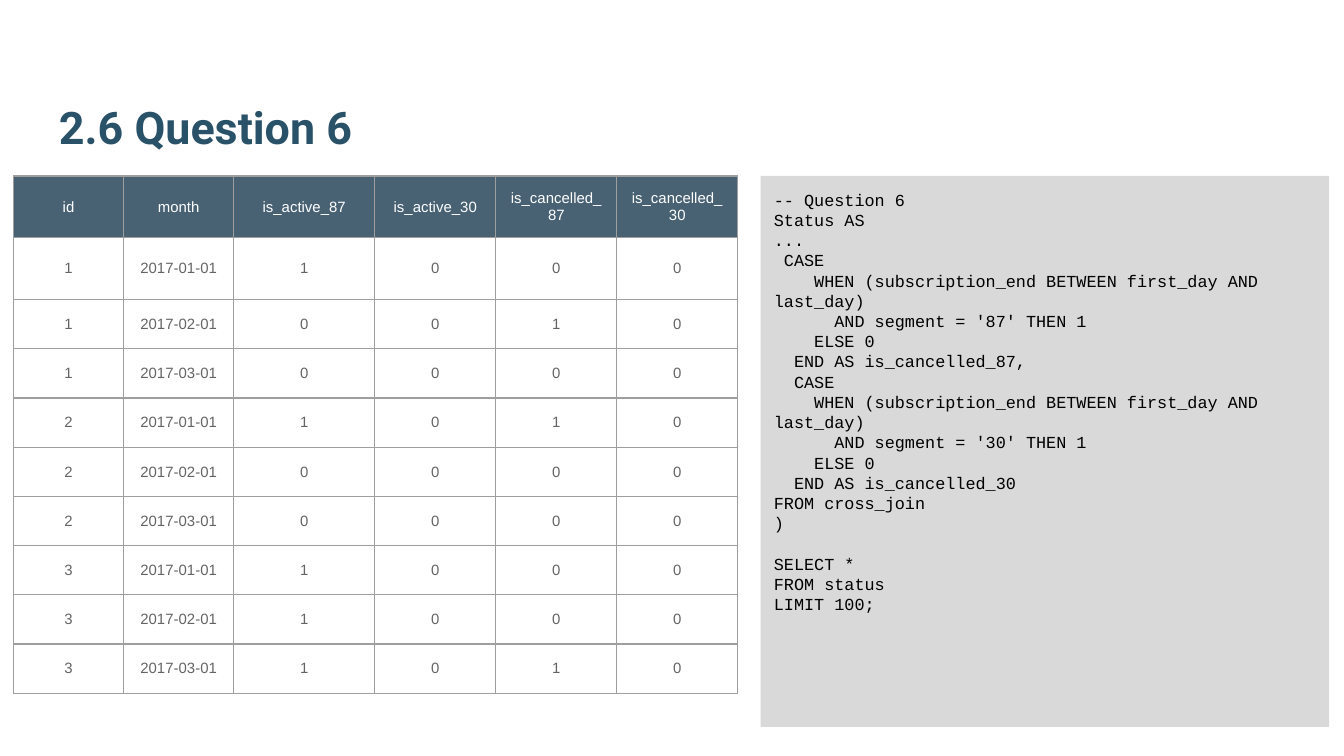
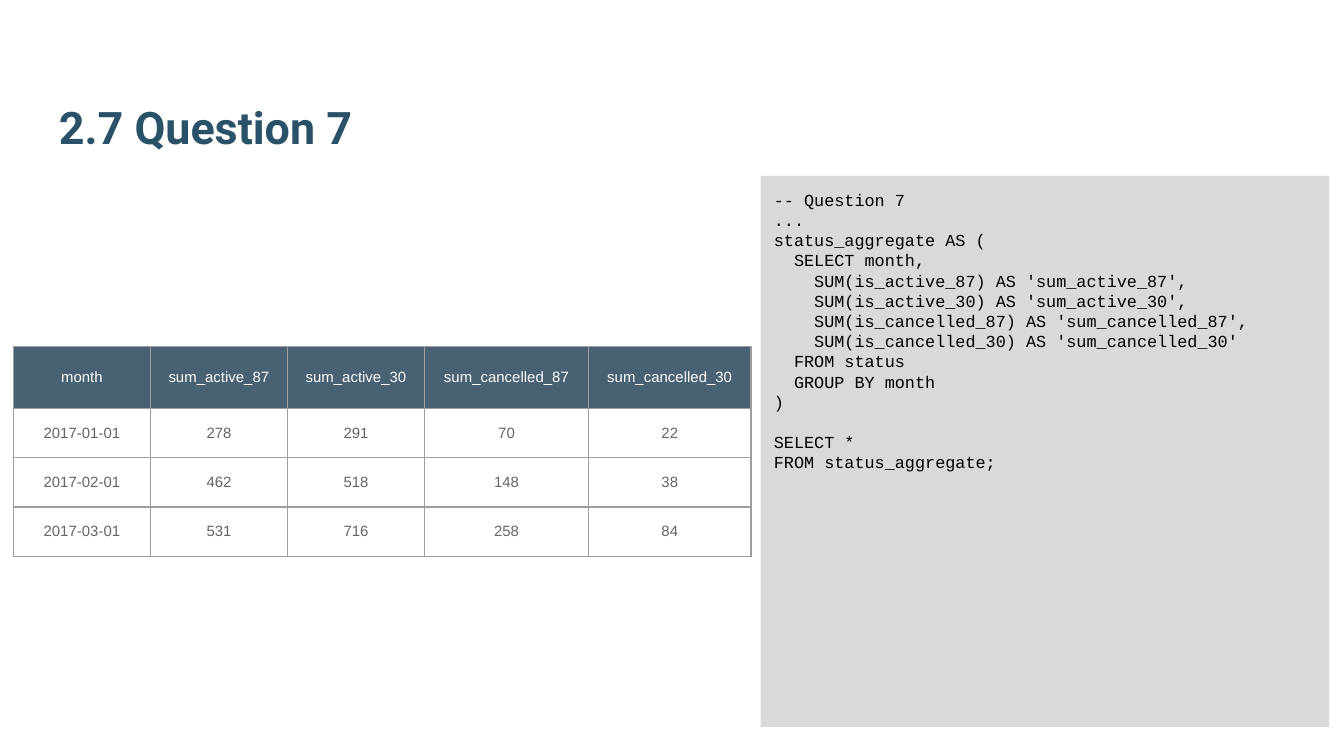
import lxml.etree
import pptx
import pptx.dml.color
import pptx.enum.shapes
import pptx.enum.text
import pptx.oxml.ns
import pptx.util

Inches = pptx.util.Inches
Pt = pptx.util.Pt
RGBColor = pptx.dml.color.RGBColor
qn = pptx.oxml.ns.qn

TITLE_BLUE = RGBColor(0x29, 0x52, 0x69)
HEADER_BLUE = RGBColor(0x20, 0x40, 0x56)
HEADER_OPACITY = 82
CODE_GREY = RGBColor(0xD9, 0xD9, 0xD9)
BORDER_GREY = RGBColor(0x9E, 0x9E, 0x9E)
TEXT_GREY = RGBColor(0x64, 0x64, 0x66)
BLACK = RGBColor(0, 0, 0)
WHITE = RGBColor(0xFF, 0xFF, 0xFF)

SLIDE_WIDTH = 10
SLIDE_HEIGHT = SLIDE_WIDTH * 9 / 16
CONTENT_TOP = 1.31
TABLE_LEFT = 0.1
TALL_ROW = 0.46
CODE_LINE = Pt(10.8)

STATUS_CODE = """-- Question 6
Status AS
...
 CASE
    WHEN (subscription_end BETWEEN first_day AND last_day)
      AND segment = '87' THEN 1
    ELSE 0
  END AS is_cancelled_87,
  CASE
    WHEN (subscription_end BETWEEN first_day AND last_day)
      AND segment = '30' THEN 1
    ELSE 0
  END AS is_cancelled_30
FROM cross_join
)

SELECT *
FROM status
LIMIT 100;"""

STATUS_ROWS = [
    ("id", "month", "is_active_87", "is_active_30", "is_cancelled_87", "is_cancelled_30"),
    (1, "2017-01-01", 1, 0, 0, 0),
    (1, "2017-02-01", 0, 0, 1, 0),
    (1, "2017-03-01", 0, 0, 0, 0),
    (2, "2017-01-01", 1, 0, 1, 0),
    (2, "2017-02-01", 0, 0, 0, 0),
    (2, "2017-03-01", 0, 0, 0, 0),
    (3, "2017-01-01", 1, 0, 0, 0),
    (3, "2017-02-01", 1, 0, 0, 0),
    (3, "2017-03-01", 1, 0, 1, 0),
]

AGGREGATE_CODE = """-- Question 7
...
status_aggregate AS (
  SELECT month,
    SUM(is_active_87) AS 'sum_active_87',
    SUM(is_active_30) AS 'sum_active_30',
    SUM(is_cancelled_87) AS 'sum_cancelled_87',
    SUM(is_cancelled_30) AS 'sum_cancelled_30'
  FROM status
  GROUP BY month
)

SELECT *
FROM status_aggregate;"""

AGGREGATE_ROWS = [
    ("month", "sum_active_87", "sum_active_30", "sum_cancelled_87", "sum_cancelled_30"),
    ("2017-01-01", 278, 291, 70, 22),
    ("2017-02-01", 462, 518, 148, 38),
    ("2017-03-01", 531, 716, 258, 84),
]


def format_runs(paragraph, font_name, size, color, bold=False):
    for run in paragraph.runs:
        run.font.name = font_name
        run.font.size = Pt(size)
        run.font.bold = bold
        run.font.color.rgb = color


def set_insets(text_frame):
    text_frame.word_wrap = True
    text_frame.margin_left = text_frame.margin_right = Inches(0.1)
    text_frame.margin_top = text_frame.margin_bottom = Inches(0.1)


def add_title(slide, text):
    box = slide.shapes.add_textbox(Inches(0.34), Inches(0.32), Inches(9.32), Inches(0.92))
    text_frame = box.text_frame
    set_insets(text_frame)
    text_frame.vertical_anchor = pptx.enum.text.MSO_ANCHOR.BOTTOM
    text_frame.text = text
    format_runs(text_frame.paragraphs[0], "Roboto", 24, TITLE_BLUE, bold=True)


def add_code_panel(slide, code):
    """Add the grey code panel; an empty code line becomes space before the next."""
    panel = slide.shapes.add_shape(
        pptx.enum.shapes.MSO_SHAPE.RECTANGLE,
        Inches(5.66), Inches(CONTENT_TOP), Inches(4.23), Inches(4.1))
    panel.shadow.inherit = False
    panel.fill.solid()
    panel.fill.fore_color.rgb = CODE_GREY
    panel.line.fill.background()
    text_frame = panel.text_frame
    set_insets(text_frame)
    text_frame.vertical_anchor = pptx.enum.text.MSO_ANCHOR.TOP
    blocks = [block.split("\n") for block in code.split("\n\n")]
    text_frame.text = "\n".join(line for block in blocks for line in block)
    for paragraph in text_frame.paragraphs:
        paragraph.alignment = pptx.enum.text.PP_ALIGN.LEFT
        format_runs(paragraph, "Courier New", 9, BLACK)
    start = 0
    for block in blocks[:-1]:
        start += len(block)
        text_frame.paragraphs[start].space_before = CODE_LINE


def set_borders(cell):
    properties = cell._tc.get_or_add_tcPr()
    for position, side in enumerate(("lnL", "lnR", "lnT", "lnB")):
        line = lxml.etree.Element(qn(f"a:{side}"), w=str(Pt(0.75)))
        fill = lxml.etree.SubElement(line, qn("a:solidFill"))
        lxml.etree.SubElement(fill, qn("a:srgbClr"), val=str(BORDER_GREY))
        properties.insert(position, line)


def fill_header(cell):
    cell.fill.solid()
    cell.fill.fore_color.rgb = HEADER_BLUE
    color = cell._tc.tcPr.find(f".//{qn('a:srgbClr')}")
    lxml.etree.SubElement(color, qn("a:alpha"), val=str(HEADER_OPACITY * 1000))


def add_result_table(slide, rows, top, height, column_widths, tall_rows):
    """Add a table whose first tall_rows rows are tall; the rest share the height."""
    table = slide.shapes.add_table(
        len(rows), len(column_widths), Inches(TABLE_LEFT), Inches(top),
        Inches(sum(column_widths)), Inches(height)).table
    table.first_row = table.horz_banding = False
    for column, width in zip(table.columns, column_widths):
        column.width = Inches(width)
    plain_row = (height - tall_rows * TALL_ROW) / (len(rows) - tall_rows)
    for row_index, values in enumerate(rows):
        is_header = row_index == 0
        table.rows[row_index].height = Inches(TALL_ROW if row_index < tall_rows else plain_row)
        for column_index, value in enumerate(values):
            cell = table.cell(row_index, column_index)
            cell.vertical_anchor = pptx.enum.text.MSO_ANCHOR.MIDDLE
            if is_header:
                fill_header(cell)
            else:
                cell.fill.background()
            set_borders(cell)
            cell.text_frame.text = str(value)
            paragraph = cell.text_frame.paragraphs[0]
            paragraph.alignment = pptx.enum.text.PP_ALIGN.CENTER
            format_runs(paragraph, "Arial", 8, WHITE if is_header else TEXT_GREY)


def add_question_slide(presentation, title, code):
    slide = presentation.slides.add_slide(presentation.slide_layouts[6])
    add_title(slide, title)
    add_code_panel(slide, code)
    return slide


def main():
    presentation = pptx.Presentation()
    presentation.slide_width = Inches(SLIDE_WIDTH)
    presentation.slide_height = Inches(SLIDE_HEIGHT)

    slide = add_question_slide(presentation, "2.6 Question 6", STATUS_CODE)
    add_result_table(slide, STATUS_ROWS, CONTENT_TOP, 3.85,
                     [0.82, 0.82, 1.05, 0.9, 0.9, 0.9], tall_rows=2)

    slide = add_question_slide(presentation, "2.7 Question 7", AGGREGATE_CODE)
    add_result_table(slide, AGGREGATE_ROWS, 2.58, 1.56,
                     [1.02, 1.02, 1.02, 1.22, 1.21], tall_rows=1)

    presentation.save("out.pptx")


if __name__ == "__main__":
    main()
